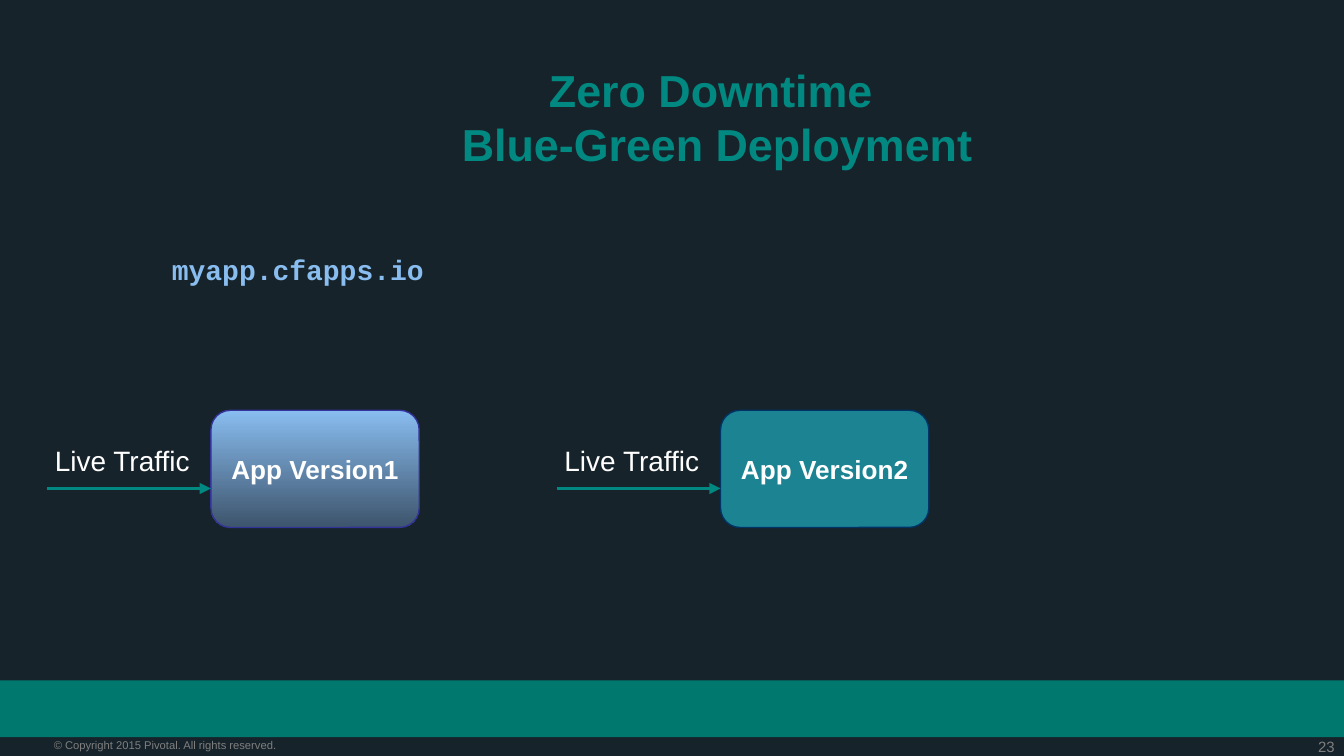
"""Build the blue-green deployment slide."""
from dataclasses import dataclass

import pptx
import pptx.dml.color
import pptx.enum.shapes
import pptx.enum.text
import pptx.oxml.ns
import pptx.util
from lxml import etree

Pt = pptx.util.Pt
RGBColor = pptx.dml.color.RGBColor
Shape = pptx.enum.shapes.MSO_SHAPE
Align = pptx.enum.text.PP_ALIGN
Anchor = pptx.enum.text.MSO_ANCHOR
qn = pptx.oxml.ns.qn

NIGHT = RGBColor(0x17, 0x23, 0x2A)
BAND = RGBColor(0x00, 0x78, 0x6E)
GREEN = RGBColor(0x00, 0x88, 0x81)
TEAL = RGBColor(0x1C, 0x83, 0x93)
SKY = RGBColor(0x89, 0xBD, 0xF0)
SLATE = RGBColor(0x3D, 0x54, 0x6C)
INDIGO = RGBColor(0x33, 0x33, 0x99)
NAVY = RGBColor(0x00, 0x33, 0x66)
GRAY = RGBColor(0x7F, 0x7F, 0x7F)
WHITE = RGBColor(0xFF, 0xFF, 0xFF)


@dataclass
class App:
    """An app version and the traffic that reaches it."""
    name: str
    left: float
    fills: tuple[RGBColor, ...]
    outline: RGBColor


APPS = [
    App("App Version1", 113, (SKY, SLATE), INDIGO),
    App("App Version2", 386, (TEAL,), NAVY),
]


def write(sp, text: str, *, size: float, color: RGBColor, bold: bool = False,
          font: str = "Arial", align=Align.LEFT, anchor=Anchor.TOP,
          wrap: bool = True, inset: tuple[float, float] = (7.2, 3.6)) -> None:
    """Fill a shape with text, one paragraph per line."""
    tf = sp.text_frame
    tf.auto_size = pptx.enum.text.MSO_AUTO_SIZE.NONE
    tf.word_wrap = wrap
    tf.vertical_anchor = anchor
    tf.margin_left = tf.margin_right = Pt(inset[0])
    tf.margin_top = tf.margin_bottom = Pt(inset[1])
    tf.text = text
    for p in tf.paragraphs:
        p.alignment = align
        for r in p.runs:
            r.font.name, r.font.size, r.font.bold = font, Pt(size), bold
            r.font.color.rgb = color


def add_text(s, left: float, top: float, width: float, height: float, text: str, **style) -> None:
    """Add a formatted text box."""
    write(s.shapes.add_textbox(Pt(left), Pt(top), Pt(width), Pt(height)), text, **style)


def add_arrow(s, start: float, end: float, y: float) -> None:
    """Add a horizontal arrow."""
    sp = s.shapes.add_connector(pptx.enum.shapes.MSO_CONNECTOR.STRAIGHT,
                                Pt(start), Pt(y), Pt(end), Pt(y))
    sp.line.color.rgb, sp.line.width = GREEN, Pt(2)
    etree.SubElement(sp.line._get_or_add_ln(), qn("a:tailEnd"), type="triangle")
    etree.SubElement(sp._element.spPr, qn("a:effectLst"))


def add_app(s, app: App) -> None:
    """Add an app box with its incoming traffic."""
    sp = s.shapes.add_shape(Shape.ROUNDED_RECTANGLE, Pt(app.left), Pt(219.8), Pt(111.6), Pt(62.8))
    sp.shadow.inherit = False
    if len(app.fills) > 1:
        sp.fill.gradient()
        sp.fill.gradient_angle = 270
        for stop, color in zip(sp.fill.gradient_stops, app.fills):
            stop.color.rgb = color
    else:
        sp.fill.solid()
        sp.fill.fore_color.rgb = app.fills[0]
    sp.line.color.rgb, sp.line.width = app.outline, Pt(0.75)
    write(sp, app.name, size=14, color=WHITE, bold=True,
          align=Align.CENTER, anchor=Anchor.MIDDLE, wrap=False)
    add_text(s, app.left - 90.7, 234, 90.7, 25.2, "Live Traffic", size=15, color=WHITE)
    add_arrow(s, app.left - 87.8, app.left, 261.7)


def main() -> None:
    """Build and save the slide."""
    prs = pptx.Presentation()
    prs.slide_width, prs.slide_height = Pt(720), Pt(405)
    s = prs.slides.add_slide(prs.slide_layouts[5])
    s.background.fill.solid()
    s.background.fill.fore_color.rgb = NIGHT

    band = s.shapes.add_shape(Shape.RECTANGLE, 0, Pt(364.5), prs.slide_width, Pt(30.4))
    band.shadow.inherit = False
    band.fill.solid()
    band.fill.fore_color.rgb = BAND
    band.line.fill.background()
    add_text(s, 673.2, 395.3, 41.8, 10, "23", size=8, color=GRAY, align=Align.RIGHT, inset=(0, 0))
    add_text(s, 28.8, 395.3, 179.3, 7.2, "© Copyright 2015 Pivotal. All rights reserved.",
             size=6, color=GRAY, inset=(0, 0))

    title = s.shapes.title
    title.left, title.top, title.width, title.height = Pt(217.4), Pt(30), Pt(333.4), Pt(65.5)
    write(title, "Zero Downtime \nBlue-Green Deployment", size=24, color=GREEN,
          bold=True, align=Align.CENTER)
    add_text(s, 85, 131.8, 151.9, 25.2, "myapp.cfapps.io", size=15, color=SKY,
             bold=True, font="Courier New")
    for app in APPS:
        add_app(s, app)
    prs.save("out.pptx")


if __name__ == "__main__":
    main()
